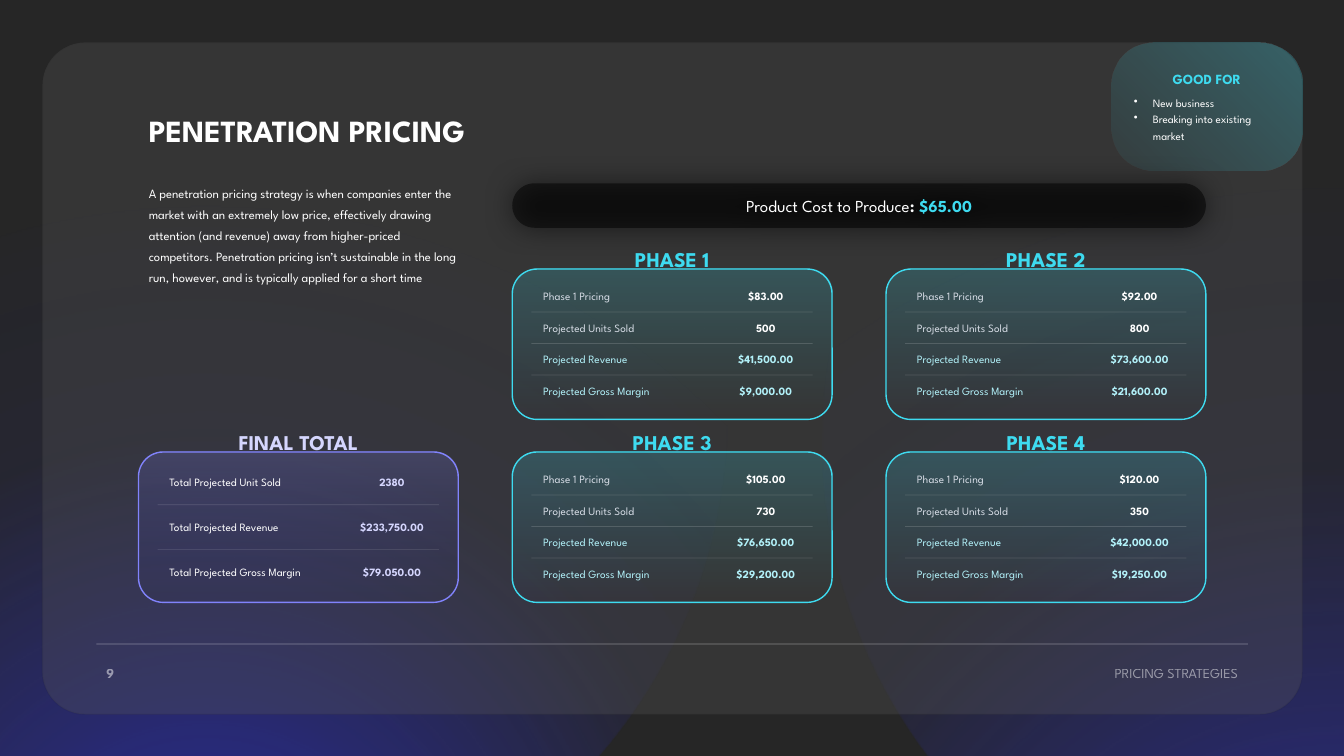
from pptx import Presentation
from pptx.dml.color import RGBColor
from pptx.enum.shapes import MSO_CONNECTOR, MSO_SHAPE
from pptx.enum.text import MSO_ANCHOR, MSO_AUTO_SIZE, PP_ALIGN
from pptx.oxml import parse_xml
from pptx.oxml.ns import nsdecls
from pptx.util import Cm, Pt

LEFT, CENTER, RIGHT = PP_ALIGN.LEFT, PP_ALIGN.CENTER, PP_ALIGN.RIGHT
TOP, MIDDLE = MSO_ANCHOR.TOP, MSO_ANCHOR.MIDDLE
GROW = MSO_AUTO_SIZE.SHAPE_TO_FIT_TEXT
ROUNDED, OVAL = MSO_SHAPE.ROUNDED_RECTANGLE, MSO_SHAPE.OVAL
STRAIGHT = MSO_CONNECTOR.STRAIGHT

# ---- content ----
TITLE = "PENETRATION PRICING"
DESCRIPTION = (
    "A penetration pricing strategy is when companies enter the market with an "
    "extremely low price, effectively drawing attention (and revenue) away from "
    "higher-priced competitors. Penetration pricing isn’t sustainable in the long "
    "run, however, and is typically applied for a short time"
)
COST = ("Product Cost to Produce", ": ", "$65.00")
GOOD_FOR = ("GOOD FOR", ["New business", "Breaking into existing market"])
FOOTER, PAGE = "PRICING STRATEGIES", "9"

# label, width of its box in cm
PHASE_LABELS = [("Phase 1 Pricing", 2.59), ("Projected Units Sold", 3.23),
                ("Projected Revenue", 3.18), ("Projected Gross Margin", 3.73)]
TOTAL_LABELS = [("Total Projected Unit Sold", 3.86), ("Total Projected Revenue", 3.91),
                ("Total Projected Gross Margin", 4.47)]
# heading, column, row, values
PHASES = [
    ("PHASE 1", 1, 0, ["$83.00", "500", "$41,500.00", "$9,000.00"]),
    ("PHASE 2", 2, 0, ["$92.00", "800", "$73,600.00", "$21,600.00"]),
    ("PHASE 3", 1, 1, ["$105.00", "730", "$76,650.00", "$29,200.00"]),
    ("PHASE 4", 2, 1, ["$120.00", "350", "$42,000.00", "$19,250.00"]),
]
TOTAL = ("FINAL TOTAL", 0, 1, ["2380", "$233,750.00", "$79.050.00"])

THEME = {
    "font": "League Spartan",
    "bg": "262626", "panel": "595959", "black": "000000", "white": "FFFFFF",
    "glow": "2D31FA", "cyan": "3EDBF0", "pale_cyan": "B2F1F9", "grey": "D6DCE5",
    "violet": "8183FC", "pale_violet": "D5D6FE",
    "title": 22, "heading": 15, "cost": 12, "small_heading": 10, "body": 9, "row": 8,
}
T = THEME
PHASE_STYLE = {
    "labels": PHASE_LABELS, "first": 0.38, "pitch": 0.795, "title_w": 2.57,
    "accent": T["cyan"], "fade": T["cyan"], "heading": T["cyan"],
    "label_colors": [T["grey"]] * 2 + [T["pale_cyan"]] * 2,
    "value_colors": [T["white"]] * 2 + [T["pale_cyan"]] * 2,
}
TOTAL_STYLE = {
    "labels": TOTAL_LABELS, "first": 0.46, "pitch": 1.13, "title_w": 3.63,
    "accent": T["violet"], "fade": T["glow"], "heading": T["pale_violet"],
    "label_colors": [T["white"]] * 3, "value_colors": [T["pale_violet"]] * 3,
}

# ---- grid, cm ----
CARD_X, CARD_Y, CARD_W, CARD_H = 3.49, 6.78, 8.06, 3.79
STEP_X, STEP_Y = 9.42, 4.61
ROW_H, VALUE_DX, VALUE_W = 0.61, 5.26, 2.26
PANEL_X, PANEL_W = 1.07, 31.75

prs = Presentation()
prs.slide_width, prs.slide_height = Cm(33.87), Cm(19.05)
slide = prs.slides.add_slide(prs.slide_layouts[6])
slide.background.fill.solid()
slide.background.fill.fore_color.rgb = RGBColor.from_string(T["bg"])


def solid(fill, color, alpha=100, owner=None):
    """Solid colour; owner is the XML element holding the fill when alpha is needed."""
    fill.solid()
    fill.fore_color.rgb = RGBColor.from_string(color)
    if alpha < 100:
        clr = owner.xpath("./a:solidFill/a:srgbClr")[0]
        clr.append(parse_xml(f'<a:alpha {nsdecls("a")} val="{alpha * 1000}"/>'))


def gradient(sp, stops, direction):
    """Stops are (position, colour, alpha), all in percent."""
    gs = "".join(
        f'<a:gs pos="{pos * 1000}"><a:srgbClr val="{color}">'
        f'<a:alpha val="{alpha * 1000}"/></a:srgbClr></a:gs>' for pos, color, alpha in stops)
    sp.fill.background()
    props = sp._element.spPr
    props.replace(props.xpath("./a:noFill")[0], parse_xml(
        f'<a:gradFill {nsdecls("a")} rotWithShape="1"><a:gsLst>{gs}</a:gsLst>'
        f'{direction}</a:gradFill>'))


def circular(l, t, r, b):
    return (f'<a:path path="circle"><a:fillToRect l="{l * 1000}" t="{t * 1000}" '
            f'r="{r * 1000}" b="{b * 1000}"/></a:path>')


def shape(kind, x, y, w, h, radius=None):
    sp = slide.shapes.add_shape(kind, Cm(x), Cm(y), Cm(w), Cm(h))
    sp.shadow.inherit = False
    sp.line.fill.background()
    if radius is not None:
        sp.adjustments[0] = radius
    return sp


def rule(x, y, w, alpha):
    ln = slide.shapes.add_connector(STRAIGHT, Cm(x), Cm(y), Cm(x + w), Cm(y))
    ln.line.width = Pt(0.5)
    solid(ln.line.fill, T["white"], alpha, ln.line._get_or_add_ln())
    ln._element.spPr.append(parse_xml(f'<a:effectLst {nsdecls("a")}/>'))


def write(p, text, size, color, bold=False, alpha=100):
    r = p.add_run()
    r.text = text
    for name, value in {"name": T["font"], "size": Pt(size), "bold": bold}.items():
        setattr(r.font, name, value)
    solid(r.font.fill, color, alpha, r._r.get_or_add_rPr())


def text_box(x, y, w, h, text, size, color, bold=False, alpha=100, align=LEFT,
             anchor=MIDDLE, wrap=False, inset=0.25, leading=None):
    tf = slide.shapes.add_textbox(Cm(x), Cm(y), Cm(w), Cm(h)).text_frame
    for name, value in {"word_wrap": wrap, "auto_size": GROW, "vertical_anchor": anchor,
                        "margin_left": Cm(inset), "margin_right": Cm(inset)}.items():
        setattr(tf, name, value)
    p = tf.paragraphs[0]
    p.alignment = align
    if leading:
        p.line_spacing = Pt(leading)
    write(p, text, size, color, bold, alpha)


def card(heading, col, row, values, style):
    x, y = CARD_X + col * STEP_X, CARD_Y + row * STEP_Y
    title_w, pitch = style["title_w"], style["pitch"]
    text_box(x + (CARD_W - title_w) / 2, y - 0.7, title_w, 0.89, heading, T["heading"],
             style["heading"], True, align=CENTER)
    sp = shape(ROUNDED, x, y, CARD_W, CARD_H, 0.165)
    gradient(sp, [(0, style["accent"], 20), (100, style["fade"], 0)],
             '<a:lin ang="5400000" scaled="0"/>')
    solid(sp.line.fill, style["accent"])
    sp.line.width = Pt(1)
    for i, ((label, label_w), value) in enumerate(zip(style["labels"], values)):
        top = y + style["first"] + i * pitch
        text_box(x + 0.53, top, label_w, ROW_H, label, T["row"], style["label_colors"][i])
        text_box(x + VALUE_DX, top, VALUE_W, ROW_H, value, T["row"],
                 style["value_colors"][i], True, align=CENTER, wrap=True, inset=0)
        if i:
            rule(x + 0.48, top + (ROW_H - pitch) / 2, 7.09, 15)


# backdrop
for x, y, turn in [(-7.95, -2.74, 0), (20.73, -2.03, 195)]:
    glow = shape(OVAL, x, y, 26.28, 26.28)
    glow.rotation = turn
    gradient(glow, [(23, T["glow"], 40), (68, T["glow"], 5), (100, T["glow"], 0)],
             circular(50, 130, 50, -30))
panel = shape(ROUNDED, PANEL_X, 1.07, PANEL_W, 16.93, 0.064)
solid(panel.fill, T["panel"], 30, panel._element.spPr)
panel.line.width = Pt(1)
solid(panel.line.fill, T["bg"], 10, panel.line._get_or_add_ln())

# footer
rule(2.43, 16.23, 29.02, 40)
text_box(27.46, 16.61, 3.99, 0.69, FOOTER, 10, T["white"], alpha=50, align=RIGHT)
text_box(2.43, 16.61, 0.89, 0.69, PAGE, 10, T["white"], True, 50)

# introduction
text_box(3.5, 2.69, 13.18, 1.19, TITLE, T["title"], T["white"], True, anchor=TOP, wrap=True)
text_box(3.5, 4.42, 8.41, 3.4, DESCRIPTION, T["body"], T["white"], anchor=TOP,
         wrap=True, leading=15)

# cards
for phase in PHASES:
    card(*phase, PHASE_STYLE)
card(*TOTAL, TOTAL_STYLE)

# cost bar
bar = shape(ROUNDED, CARD_X + STEP_X, 4.62, STEP_X + CARD_W, 1.12, 0.5)
solid(bar.fill, T["black"], 50, bar._element.spPr)
bar._element.spPr.xpath("./a:effectLst")[0].append(parse_xml(
    f'<a:outerShdw {nsdecls("a")} blurRad="{Pt(20)}" dist="0" algn="ctr" rotWithShape="0">'
    f'<a:srgbClr val="{T["black"]}"><a:alpha val="50000"/></a:srgbClr></a:outerShdw>'))
bar.text_frame.vertical_anchor = MIDDLE
p = bar.text_frame.paragraphs[0]
p.alignment, p.space_after = CENTER, Pt(6)
for text, color, bold in zip(COST, [T["white"], T["white"], T["cyan"]], [False, True, True]):
    write(p, text, T["cost"], color, bold)

# "good for" corner
corner = shape(ROUNDED, 28.01, 1.07, 4.81, 3.23, 0.332)
gradient(corner, [(0, T["cyan"], 5), (100, T["cyan"], 28)], circular(0, 100, 100, 0))
tf = corner.text_frame
tf.word_wrap, tf.vertical_anchor = True, MIDDLE
p = tf.paragraphs[0]
p.alignment, p.line_spacing, p.space_after = CENTER, Pt(12), Pt(4)
write(p, GOOD_FOR[0], T["small_heading"], T["cyan"], True)
for item in GOOD_FOR[1]:
    p = tf.add_paragraph()
    p.alignment, p.line_spacing = LEFT, Pt(12)
    pPr = p._p.get_or_add_pPr()
    pPr.set("marL", str(Cm(0.48)))
    pPr.set("indent", str(-Cm(0.48)))
    pPr.append(parse_xml(f'<a:buChar {nsdecls("a")} char="•"/>'))
    write(p, item, T["row"], T["white"])

prs.save("out.pptx")
